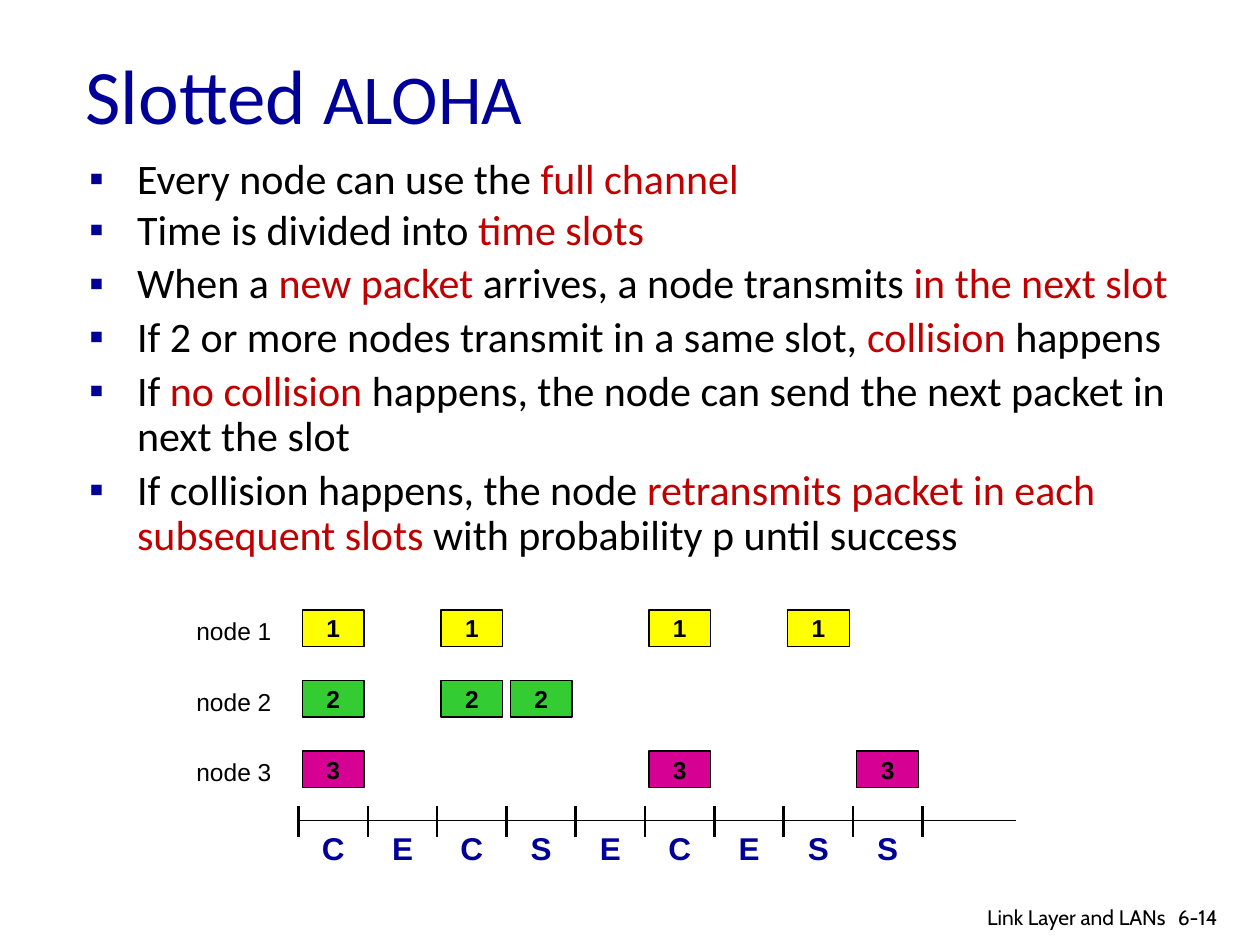
from lxml import etree
from pptx import Presentation
from pptx import util as u
from pptx.dml.color import RGBColor
from pptx.enum import shapes, text
from pptx.oxml import ns

NAVY, RED, BLACK = "000099", "C00000", "000000"
SLOT = 0.55  # width of one time slot
ROW = 0.56  # distance between node rows
OUTCOMES = "CECSECESS"
NODES = [  # fill, slots in which the node transmits
    ("FFFF00", [0, 2, 5, 7]),
    ("33CC33", [0, 2, 3]),
    ("D60093", [0, 5, 8]),
]
BULLETS = [  # line spacing, runs
    (0.85, [("Every node can use the ", BLACK), ("full channel", RED)]),
    (0.85, [("Time is divided into ", BLACK), ("time slots", RED)]),
    (0.9, [("When a ", BLACK), ("new packet", RED),
           (" arrives, a node transmits ", BLACK), ("in the next slot", RED)]),
    (0.9, [("If 2 or more nodes transmit in a same slot, ", BLACK),
           ("collision", RED), (" happens", BLACK)]),
    (0.9, [("If ", BLACK), ("no collision ", RED),
           ("happens, the node can send the next packet in next the slot", BLACK)]),
    (0.9, [("If collision happens, the node ", BLACK),
           ("retransmits packet in each subsequent slots ", RED),
           ("with probability p until success", BLACK)]),
]


def color(value):
    return RGBColor.from_string(value)


def set_font(font, name, size, value=BLACK, bold=False):
    font.name, font.size, font.bold = name, u.Pt(size), bold
    font.color.rgb = color(value)


def add_box(slide, left, top, width, height):
    shape = slide.shapes.add_textbox(*map(u.Inches, (left, top, width, height)))
    shape.text_frame.word_wrap = True
    return shape.text_frame


def add_label(slide, box, words, font, align=text.PP_ALIGN.LEFT):
    """Add one line of text; font holds name, size, colour and weight."""
    paragraph = add_box(slide, *box).paragraphs[0]
    paragraph.text = words
    paragraph.alignment = align
    set_font(paragraph.font, *font)


def add_line(slide, x1, y1, x2, y2, width):
    line = slide.shapes.add_connector(
        shapes.MSO_CONNECTOR.STRAIGHT, *map(u.Inches, (x1, y1, x2, y2)))
    line.line.color.rgb = color(BLACK)
    line.line.width = u.Pt(width)
    etree.SubElement(line._element.spPr, ns.qn("a:effectLst"))


def add_bullet(paragraph):
    properties = paragraph._p.get_or_add_pPr()
    properties.set("marL", str(u.Inches(0.38)))
    properties.set("indent", str(u.Inches(-0.38)))
    bullet_color = etree.SubElement(properties, ns.qn("a:buClr"))
    etree.SubElement(bullet_color, ns.qn("a:srgbClr"), val=NAVY)
    etree.SubElement(properties, ns.qn("a:buFont"), typeface="Arial")
    etree.SubElement(properties, ns.qn("a:buChar"), char="▪")


def add_title(slide, box):
    frame = add_box(slide, *box)
    frame.vertical_anchor = text.MSO_ANCHOR.MIDDLE
    for words, size in [("Slotted ", 44), ("ALOHA", 40)]:
        run = frame.paragraphs[0].add_run()
        run.text = words
        set_font(run.font, "Calibri", size, NAVY)


def add_body(slide, box):
    frame = add_box(slide, *box)
    for index, (spacing, runs) in enumerate(BULLETS):
        paragraph = frame.add_paragraph() if index else frame.paragraphs[0]
        add_bullet(paragraph)
        paragraph.line_spacing = spacing
        paragraph.space_before = u.Pt(4.8 if index else 0)
        set_font(paragraph.font, "Calibri", 24)
        for words, value in runs:
            run = paragraph.add_run()
            run.text = words
            run.font.color.rgb = color(value)


def add_packet(slide, left, top, number, fill):
    shape = slide.shapes.add_shape(
        shapes.MSO_SHAPE.RECTANGLE, *map(u.Inches, (left, top, 0.49, 0.29)))
    shape.shadow.inherit = False
    shape.fill.solid()
    shape.fill.fore_color.rgb = color(fill)
    shape.line.color.rgb = color(BLACK)
    shape.line.width = u.Pt(0.75)
    frame = shape.text_frame
    frame.margin_left = frame.margin_right = 0
    frame.margin_top = frame.margin_bottom = 0
    frame.vertical_anchor = text.MSO_ANCHOR.MIDDLE
    paragraph = frame.paragraphs[0]
    paragraph.text = str(number)
    paragraph.alignment = text.PP_ALIGN.CENTER
    set_font(paragraph.font, "Arial", 14, BLACK, True)


def add_timeline(slide, left, top, width):
    """Draw the packets of each node above an axis of time slots."""
    for row, (fill, slots) in enumerate(NODES):
        y = top + row * ROW
        add_label(slide, (left - 0.91, y, 0.85, 0.33), f"node {row + 1}",
                  ("Arial", 14))
        for slot in slots:
            add_packet(slide, left + slot * SLOT + 0.03, y, row + 1, fill)
    axis = top + 3 * ROW - 0.01
    add_line(slide, left, axis, left + width, axis, 0.75)
    for slot in range(len(OUTCOMES) + 1):
        x = left + slot * SLOT
        add_line(slide, x, axis - 0.11, x, axis + 0.13, 1.5)
    for slot, outcome in enumerate(OUTCOMES):
        add_label(slide, (left + slot * SLOT, axis + 0.02, SLOT, 0.4), outcome,
                  ("Arial", 18, NAVY, True), text.PP_ALIGN.CENTER)


def add_footer(slide, left, top):
    font = ("Cabin", 12)
    add_label(slide, (left, top, 2.38, 0.26), "Link Layer and LANs", font,
              text.PP_ALIGN.RIGHT)
    add_label(slide, (left + 2.28, top, 0.6, 0.3), "6-14", font)


def main():
    presentation = Presentation()
    presentation.slide_width, presentation.slide_height = u.Inches(10), u.Inches(7.5)
    slide = presentation.slides.add_slide(presentation.slide_layouts[6])
    add_title(slide, (0.58, 0.12, 5.42, 1.25))
    add_body(slide, (0.61, 1.22, 8.93, 5.08))
    add_footer(slide, 6.97, 7.13)
    add_timeline(slide, 2.37, 4.84, 5.69)
    presentation.save("out.pptx")


if __name__ == "__main__":
    main()
